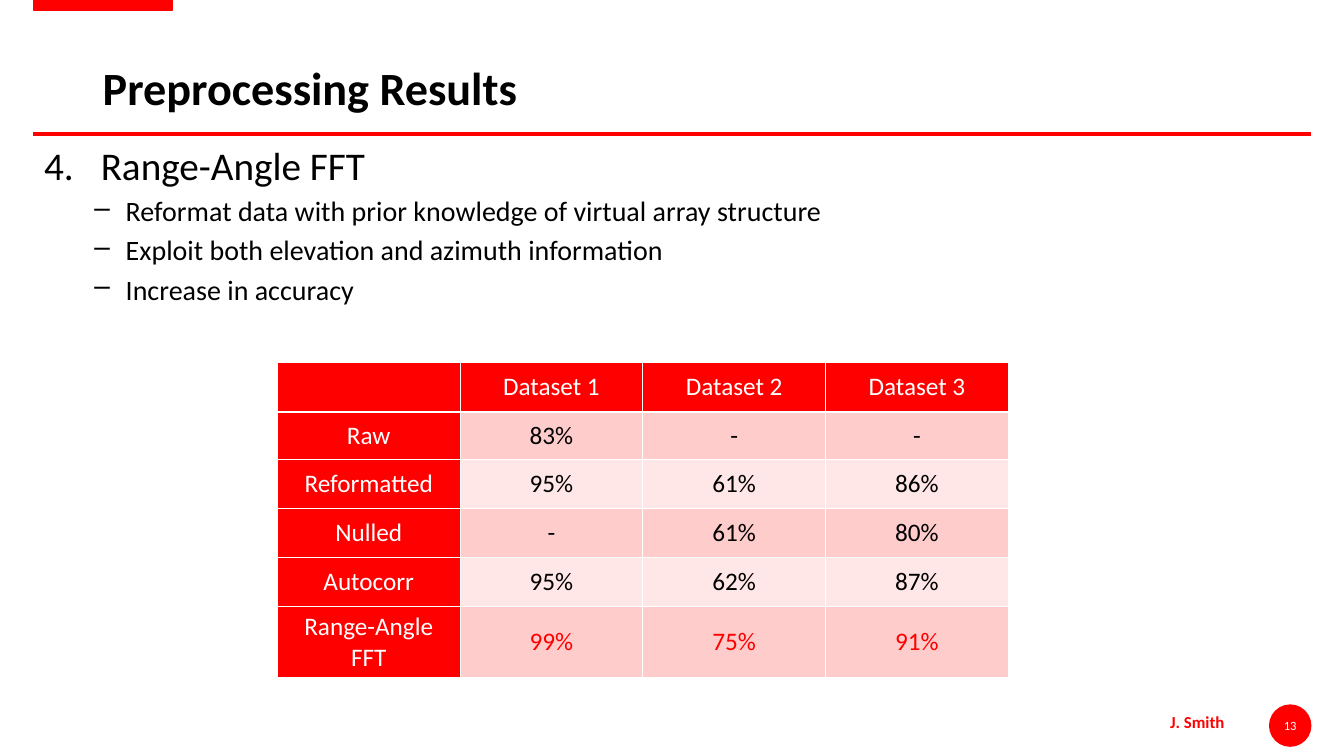
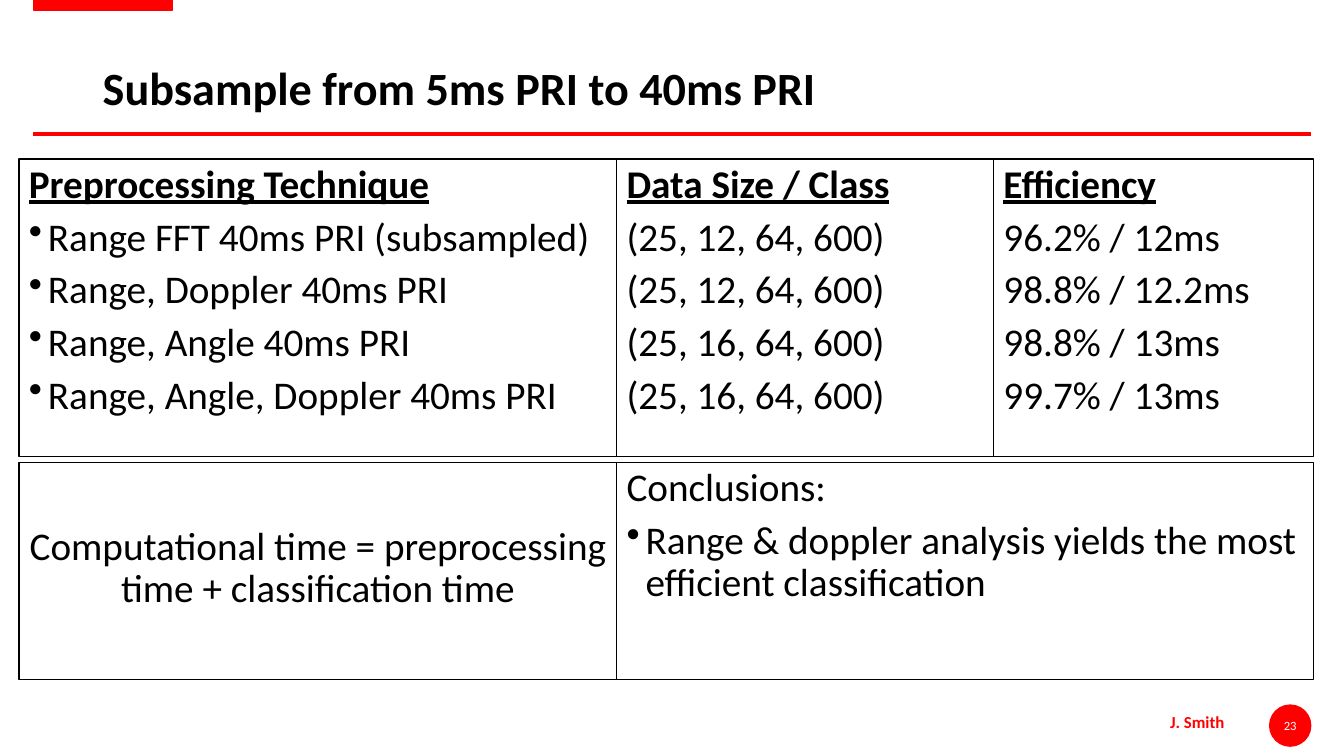
from lxml import etree
from pptx import Presentation
from pptx.dml.color import RGBColor
from pptx.enum import shapes, text
from pptx.oxml.ns import qn
from pptx.util import Cm, Pt

RED = RGBColor(0xFF, 0x00, 0x00)
WHITE = RGBColor(0xFF, 0xFF, 0xFF)
BLACK = RGBColor(0x00, 0x00, 0x00)
PINK = RGBColor(0xFF, 0xCC, 0xCC)
PALE_PINK = RGBColor(0xFF, 0xE7, 0xE7)
FONT = "Calibri"
AUTHOR = "J. Smith"
CENTER = text.PP_ALIGN.CENTER
TOP, MIDDLE = text.MSO_ANCHOR.TOP, text.MSO_ANCHOR.MIDDLE


def write(tf, words, size=28, color=BLACK, bold=False, underline=False, align=None,
          before=0, spacing=None, bullet=None, start=None, indent=0, hang=0):
    """Add one paragraph, filling the empty first one if there is one."""
    first = not tf.paragraphs[0].runs
    p = tf.paragraphs[0] if first else tf.add_paragraph()
    pPr = p._p.get_or_add_pPr()
    if bullet or start:
        pPr.set("marL", str(Cm(indent)))
        pPr.set("indent", str(-Cm(hang)))
    if start:
        etree.SubElement(pPr, qn("a:buAutoNum"), type="arabicPeriod", startAt=str(start))
    elif bullet:
        etree.SubElement(pPr, qn("a:buChar"), char=bullet)
    if align is not None:
        p.alignment = align
    if spacing:
        p.line_spacing = spacing
    p.space_before = Pt(0 if first else before)
    r = p.add_run()
    r.text = words
    r.font.name, r.font.size, r.font.color.rgb = FONT, Pt(size), color
    r.font.bold, r.font.underline = bold, underline


def add_box(s, box, anchor=TOP, wrap=True):
    tf = s.shapes.add_textbox(*map(Cm, box)).text_frame
    tf.word_wrap = wrap
    tf.vertical_anchor = anchor
    return tf


def add_shape(s, kind, box, fill, line=None):
    sp = s.shapes.add_shape(kind, *map(Cm, box))
    sp.shadow.inherit = False
    sp.fill.solid()
    sp.fill.fore_color.rgb = fill
    if line is None:
        sp.line.fill.background()
    else:
        sp.line.color.rgb, sp.line.width = line, Pt(1)
    return sp


def add_frame(prs, title, number):
    """Start a slide with the shared band, rule, title and footer."""
    s = prs.slides.add_slide(prs.slide_layouts[6])
    add_shape(s, shapes.MSO_SHAPE.RECTANGLE, (0.84, -0.05, 3.51, 0.3), RED, RED)
    rule = s.shapes.add_connector(shapes.MSO_CONNECTOR.STRAIGHT,
                                  Cm(0.84), Cm(3.38), Cm(33.05), Cm(3.38))
    rule.line.color.rgb, rule.line.width = RED, Pt(3)
    etree.SubElement(rule._element.spPr, qn("a:effectLst"))
    write(add_box(s, (2.34, 1.02, 29.21, 2.51), MIDDLE), title,
          size=33, bold=True, spacing=0.9)
    # Footer
    write(add_box(s, (29.24, 17.81, 1.9, 0.76), wrap=False), AUTHOR,
          size=12, color=RED, bold=True)
    badge = add_shape(s, shapes.MSO_SHAPE.OVAL, (31.98, 17.75, 1.07, 1.07), RED)
    tf = badge.text_frame
    tf.margin_left = tf.margin_right = tf.margin_top = tf.margin_bottom = 0
    tf.vertical_anchor = MIDDLE
    write(tf, str(number), size=9, color=WHITE, align=CENTER)
    return s


def add_numbered_topic(s, box, start, topic, points):
    tf = add_box(s, box)
    write(tf, topic, start=start, indent=1.43, hang=1.43)
    for point in points:
        write(tf, point, size=20, before=4, bullet="–", indent=2.06, hang=0.79)
    for p in tf.paragraphs[1:]:
        p.level = 1


def style_cell(cell, fill):
    tcPr = cell._tc.get_or_add_tcPr()
    for side in ("a:lnL", "a:lnR", "a:lnT", "a:lnB"):
        ln = etree.SubElement(tcPr, qn(side), w=str(Pt(1)))
        paint = etree.SubElement(ln, qn("a:solidFill"))
        etree.SubElement(paint, qn("a:srgbClr"), val=str(WHITE))
    cell.fill.solid()
    cell.fill.fore_color.rgb = fill
    cell.vertical_anchor = MIDDLE


def add_results_table(s, box, rows):
    """Header row and column in red, banded body, last row highlighted."""
    n_rows, n_cols = len(rows), len(rows[0])
    table = s.shapes.add_table(n_rows, n_cols, *map(Cm, box)).table
    for i, row in enumerate(rows):
        table.rows[i].height = Cm(1.19 if i == 1 else 1.24)
        for j, value in enumerate(row):
            header = i == 0 or j == 0
            cell = table.cell(i, j)
            style_cell(cell, RED if header else PINK if i % 2 else PALE_PINK)
            color = WHITE if header else RED if i == n_rows - 1 else BLACK
            if value:
                write(cell.text_frame, value, size=18, color=color, align=CENTER)


def add_panel(s, box, lines, heading=None, bullet_from=None, align=text.PP_ALIGN.LEFT,
              top=0.13):
    """Outlined panel; lines from index bullet_from on are bulleted."""
    tf = add_shape(s, shapes.MSO_SHAPE.RECTANGLE, box, WHITE, BLACK).text_frame
    tf.word_wrap = True
    tf.vertical_anchor = TOP
    tf.margin_top = Cm(top)
    if heading:
        write(tf, heading, bold=True, underline=True, align=align, spacing=0.9)
    for i, line in enumerate(lines):
        bullet = "•" if bullet_from is not None and i >= bullet_from else None
        write(tf, line, align=align, spacing=0.9, before=7.5,
              bullet=bullet, indent=0.48, hang=0.48)


def add_panel_grid(s, box, columns, note, conclusions):
    """Three columns above; a note and conclusions below."""
    left, top, width, height = box
    edges = [left, left + 15.06, left + 24.56, left + width]
    upper, gap = 7.49, 0.16
    for i, (heading, lines) in enumerate(columns):
        add_panel(s, (edges[i], top, edges[i + 1] - edges[i], upper), lines, heading,
                  bullet_from=0 if i == 0 else None)
    low, lower = top + upper + gap, height - upper - gap
    add_panel(s, (left, low, edges[1] - left, lower), [note], align=CENTER, top=1.6)
    add_panel(s, (edges[1], low, edges[3] - edges[1], lower), conclusions, bullet_from=1)


def main():
    prs = Presentation()
    prs.slide_width, prs.slide_height = Cm(33.87), Cm(19.05)

    # Results by dataset
    s = add_frame(prs, "Preprocessing Results", 13)
    add_numbered_topic(s, (0.86, 3.43, 27.51, 5.2), 4, "Range-Angle FFT", [
        "Reformat data with prior knowledge of virtual array structure",
        "Exploit both elevation and azimuth information",
        "Increase in accuracy",
    ])
    add_results_table(s, (6.99, 9.14, 18.42, 7.39), [
        ("", "Dataset 1", "Dataset 2", "Dataset 3"),
        ("Raw", "83%", "-", "-"),
        ("Reformatted", "95%", "61%", "86%"),
        ("Nulled", "-", "61%", "80%"),
        ("Autocorr", "95%", "62%", "87%"),
        ("Range-Angle FFT", "99%", "75%", "91%"),
    ])

    # Subsampling comparison
    s = add_frame(prs, "Subsample from 5ms PRI to 40ms PRI", 23)
    columns = [
        ("Preprocessing Technique", ["Range FFT 40ms PRI (subsampled)",
                                     "Range, Doppler 40ms PRI",
                                     "Range, Angle 40ms PRI",
                                     "Range, Angle, Doppler 40ms PRI"]),
        ("Data Size / Class", ["(25, 12, 64, 600)"] * 2 + ["(25, 16, 64, 600)"] * 2),
        ("Efficiency", ["96.2% / 12ms", "98.8% / 12.2ms",
                        "98.8% / 13ms", "99.7% / 13ms"]),
    ]
    add_panel_grid(
        s, (0.48, 4.01, 32.62, 13.11), columns,
        "Computational time = preprocessing time + classification time",
        ["Conclusions:",
         "Range & doppler analysis yields the most efficient classification"])

    prs.save("out.pptx")


if __name__ == "__main__":
    main()
